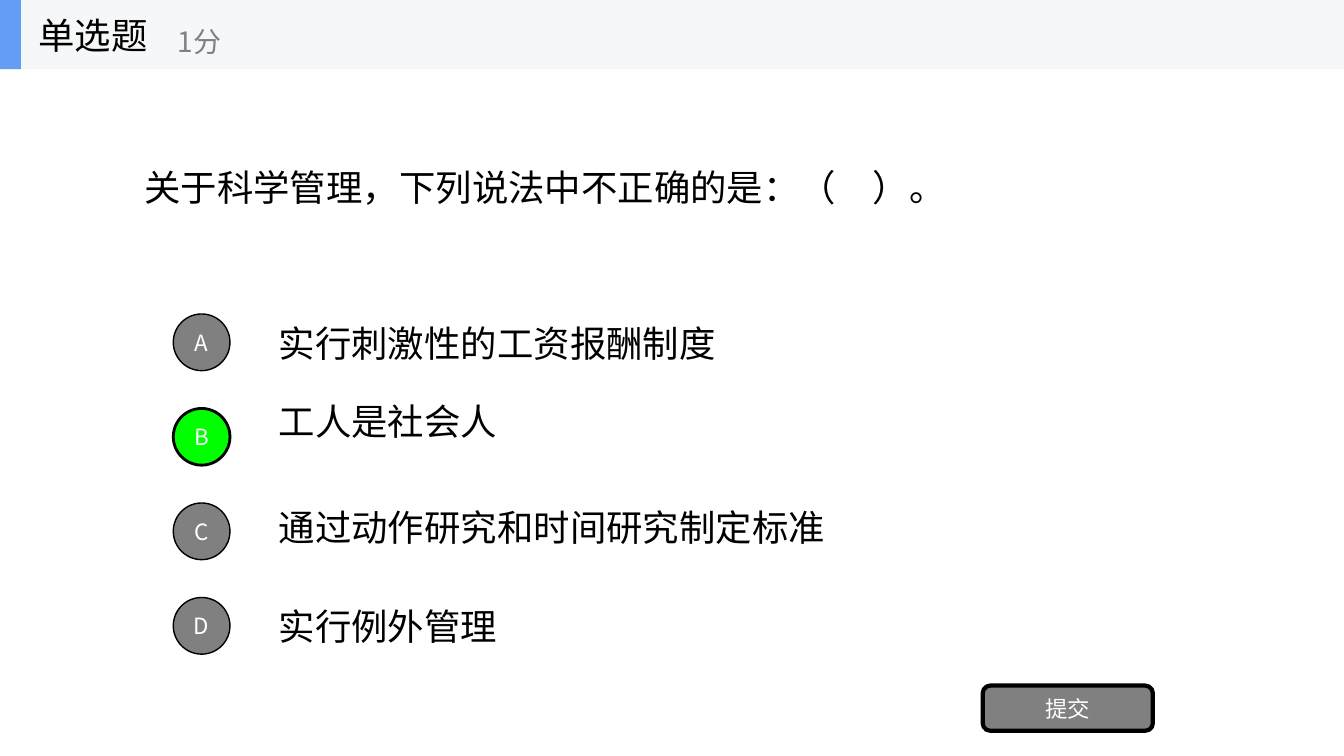
from dataclasses import dataclass

from lxml import etree
from pptx import Presentation
from pptx.dml.color import RGBColor
from pptx.enum.shapes import MSO_SHAPE
from pptx.enum.text import MSO_ANCHOR, PP_ALIGN
from pptx.oxml.ns import qn
from pptx.util import Emu, Pt

RECTANGLE = MSO_SHAPE.RECTANGLE
ROUNDED = MSO_SHAPE.ROUNDED_RECTANGLE
OVAL = MSO_SHAPE.OVAL
MIDDLE = MSO_ANCHOR.MIDDLE
LEFT = PP_ALIGN.LEFT
CENTER = PP_ALIGN.CENTER

EMU_PER_PX = 9525
SLIDE_WIDTH, SLIDE_HEIGHT = 1280, 720
HEADER_HEIGHT = 66


@dataclass(frozen=True)
class Theme:
    font: str = "Noto Sans CJK SC"
    text: str = "000000"
    muted: str = "808080"
    light: str = "FFFFFF"
    correct: str = "00FF00"
    header: str = "F6F7F8"
    accent: str = "639EF4"
    body_size: int = 26
    score_size: int = 20
    label_size: int = 16


THEME = Theme()

# Letter, text, top of the text box, whether it is the right answer
OPTIONS = [
    ("A", "实行刺激性的工资报酬制度", 293, False),
    ("B", "工人是社会人", 367, True),
    ("C", "通过动作研究和时间研究制定标准", 468, False),
    ("D", "实行例外管理", 563, False),
]
FIRST_MARKER_TOP, MARKER_STEP = 299, 90


def px(*lengths):
    return [Emu(length * EMU_PER_PX) for length in lengths]


def write_text(shape, text, size, color, alignment):
    frame = shape.text_frame
    frame.word_wrap = True
    frame.vertical_anchor = MIDDLE
    paragraph = frame.paragraphs[0]
    paragraph.text = text
    paragraph.alignment = alignment
    paragraph.font.size = Pt(size)
    paragraph.font.color.rgb = RGBColor.from_string(color)
    paragraph.font.name = THEME.font
    # East Asian typeface, next to the Latin one
    properties = paragraph._p.pPr.find(qn("a:defRPr"))
    etree.SubElement(properties, qn("a:ea"), typeface=THEME.font)


def add_label(shapes, box, text, size=THEME.body_size, color=THEME.text):
    write_text(shapes.add_textbox(*px(*box)), text, size, color, LEFT)


def add_block(shapes, kind, box, fill, line_width=0):
    shape = shapes.add_shape(kind, *px(*box))
    shape.shadow.inherit = False
    shape.fill.solid()
    shape.fill.fore_color.rgb = RGBColor.from_string(fill)
    if line_width:
        shape.line.color.rgb = RGBColor.from_string(THEME.text)
        shape.line.width = Pt(line_width)
    else:
        shape.line.fill.background()
    return shape


def add_button(shapes, kind, box, text, fill, line_width):
    shape = add_block(shapes, kind, box, fill, line_width)
    write_text(shape, text, THEME.label_size, THEME.light, CENTER)


def add_header(slide):
    shapes = slide.shapes.add_group_shape().shapes
    add_block(shapes, RECTANGLE, (0, 0, SLIDE_WIDTH, HEADER_HEIGHT), THEME.header)
    add_block(shapes, RECTANGLE, (0, 0, 20, HEADER_HEIGHT), THEME.accent)
    add_label(shapes, (27, 0, 200, HEADER_HEIGHT), "单选题")
    add_label(shapes, (160, 12, 240, 54), "1分", THEME.score_size, THEME.muted)


def add_options(slide):
    for index, (letter, text, top, is_correct) in enumerate(OPTIONS):
        add_label(slide.shapes, (256, top, 896, 67), text)
        marker_top = FIRST_MARKER_TOP + index * MARKER_STEP
        fill, line_width = (THEME.correct, 2) if is_correct else (THEME.muted, 1)
        add_button(slide.shapes, OVAL, (165, marker_top, 54, 54), letter, fill, line_width)


def main():
    presentation = Presentation()
    presentation.slide_width, presentation.slide_height = px(SLIDE_WIDTH, SLIDE_HEIGHT)
    slide = presentation.slides.add_slide(presentation.slide_layouts[6])

    # Question and answers
    add_label(slide.shapes, (128, 66, 1024, 225), "关于科学管理，下列说法中不正确的是：（　）。")
    add_options(slide)

    # Submit button and header bar
    add_button(slide.shapes, ROUNDED, (936, 653, 162, 43), "提交", THEME.muted, 3)
    add_header(slide)

    presentation.save("out.pptx")


if __name__ == "__main__":
    main()
